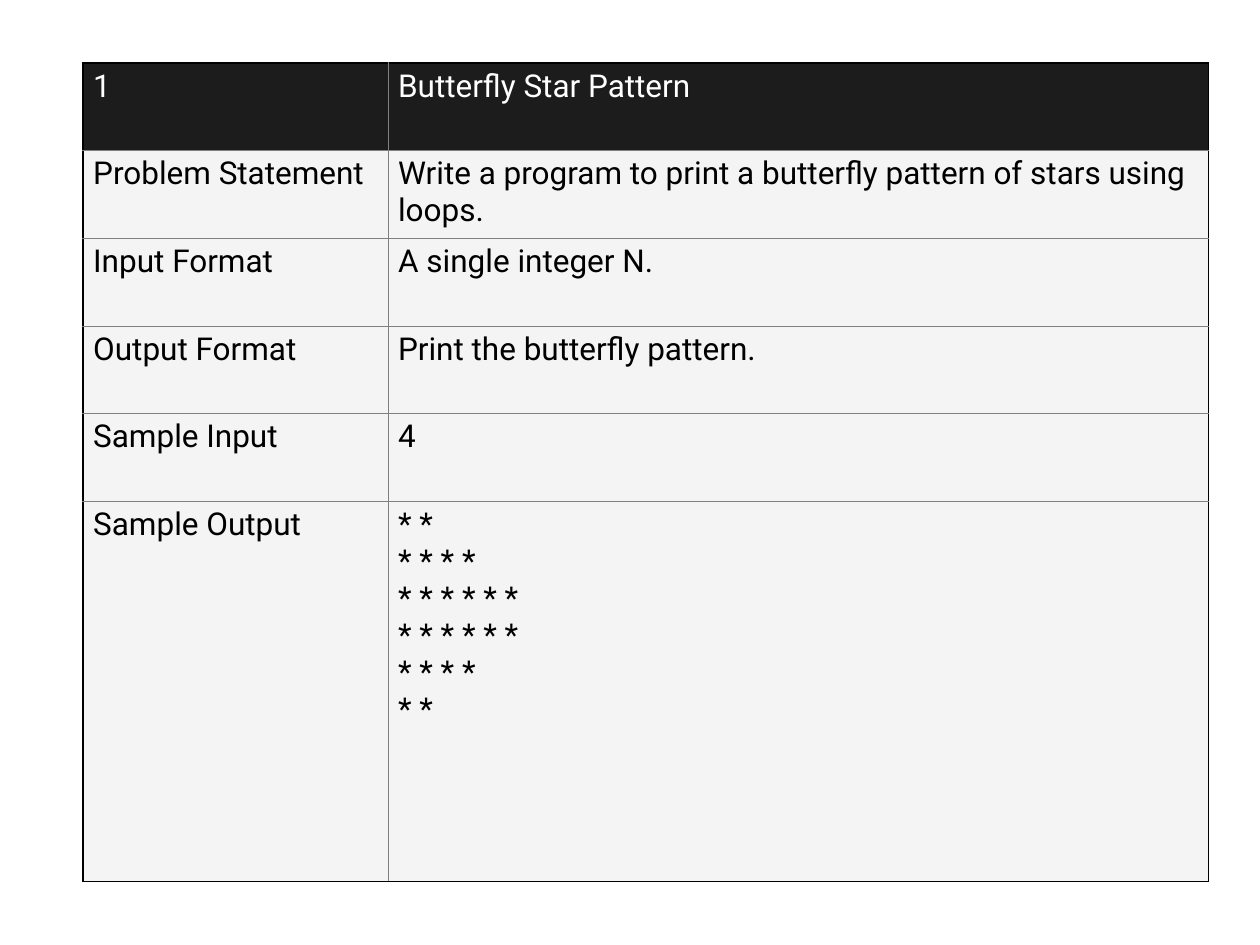
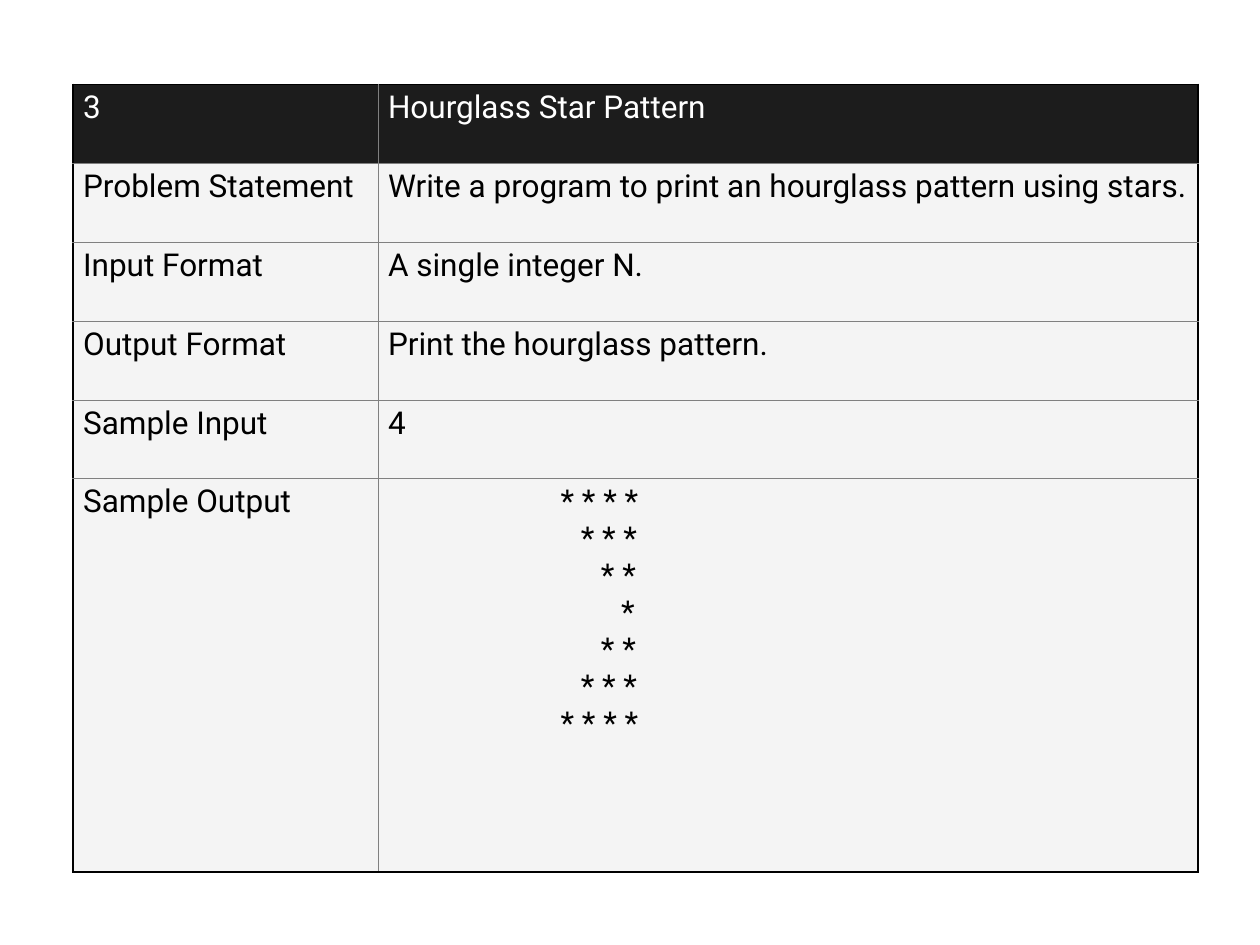
import dataclasses

import pptx
import pptx.dml.color
import pptx.oxml
import pptx.oxml.ns
import pptx.util

Inches, Pt = pptx.util.Inches, pptx.util.Pt

LABELS = ["Problem Statement", "Input Format", "Output Format",
          "Sample Input", "Sample Output"]

# "stars" counts the stars on each line; "start" is the indent of the widest
# line and "step" the extra indent for each star fewer, in inches.
TASKS = [
    {"number": "1", "name": "Butterfly Star Pattern",
     "answers": ["Write a program to print a butterfly pattern of stars using loops.",
                 "A single integer N.", "Print the butterfly pattern.", "4"],
     "stars": [2, 4, 6, 6, 4, 2], "start": 0.08, "step": 0,
     "left": 0.66, "top": 0.5, "height": 6.5, "last": 3.02},
    {"number": "3", "name": "Hourglass Star Pattern",
     "answers": ["Write a program to print an hourglass pattern using stars.",
                 "A single integer N.", "Print the hourglass pattern.", "4"],
     "stars": [4, 3, 2, 1, 2, 3, 4], "start": 1.45, "step": 0.16,
     "left": 0.58, "top": 0.67, "height": 6.25, "last": 3.12},
]


@dataclasses.dataclass(frozen=True)
class Theme:
    font: str = "Roboto"
    size: float = 18
    head: str = "1C1C1C"
    body: str = "F4F4F4"
    light: str = "FFFFFF"
    dark: str = "000000"
    grid: str = "808080"
    thick: float = 1
    thin: float = 0.5
    pad: float = 0.08
    columns: tuple = (2.42, 6.51)


THEME = Theme()


def rgb(value):
    return pptx.dml.color.RGBColor.from_string(value)


def write(cell, text, color=THEME.dark, indents=(THEME.pad,)):
    """Fill a cell; each line of text takes its own indent in inches."""
    frame = cell.text_frame
    frame.text = text
    for index, (para, indent) in enumerate(zip(frame.paragraphs, indents)):
        props = para._p.get_or_add_pPr()
        props.set("marL", str(Inches(indent)))
        props.set("indent", "0")
        para.space_before = Pt(0 if index else 3)
        font = para.runs[0].font
        font.name, font.size = THEME.font, Pt(THEME.size)
        font.color.rgb = rgb(color)


def frame_cell(cell, outer):
    """Draw the four edges, with strong lines on the sides named in outer."""
    props = cell._tc.get_or_add_tcPr()
    for side in "LRTB":
        color, width = ((THEME.dark, THEME.thick) if side in outer
                        else (THEME.grid, THEME.thin))
        props.append(pptx.oxml.parse_xml(
            f'<a:ln{side} {pptx.oxml.ns.nsdecls("a")} w="{Pt(width)}">'
            f'<a:solidFill><a:srgbClr val="{color}"/></a:solidFill></a:ln{side}>'))


def style_cell(cell, fill, outer):
    cell.margin_left = cell.margin_right = cell.margin_bottom = 0
    cell.margin_top = Inches(0.04)
    frame_cell(cell, outer)
    cell.fill.solid()
    cell.fill.fore_color.rgb = rgb(fill)


def add_task(slide, task):
    stars = task["stars"]
    sample = "\n".join(" ".join("*" * count) for count in stars)
    rows = [(task["number"], task["name"]),
            *zip(LABELS, task["answers"] + [sample])]
    end = len(rows) - 1
    table = slide.shapes.add_table(
        len(rows), 2, Inches(task["left"]), Inches(task["top"]),
        Inches(sum(THEME.columns)), Inches(task["height"])).table
    table.horz_banding = False
    for column, width in zip(table.columns, THEME.columns):
        column.width = Inches(width)
    short = (task["height"] - task["last"]) / end
    for r, row in enumerate(rows):
        table.rows[r].height = Inches(task["last"] if r == end else short)
        fill, color = ((THEME.body, THEME.dark) if r
                       else (THEME.head, THEME.light))
        for c, text in enumerate(row):
            cell = table.cell(r, c)
            outer = "LR"[c] + {0: "T", end: "B"}.get(r, "")
            style_cell(cell, fill, outer)
            write(cell, text, color=color)
    write(table.cell(end, 1), sample,
          indents=[task["start"] + task["step"] * (max(stars) - count)
                   for count in stars])


def main():
    deck = pptx.Presentation()
    deck.slide_width, deck.slide_height = Inches(10), Inches(7.5)
    blank = deck.slide_layouts[6]
    for task in TASKS:
        add_task(deck.slides.add_slide(blank), task)
    deck.save("out.pptx")


if __name__ == "__main__":
    main()
